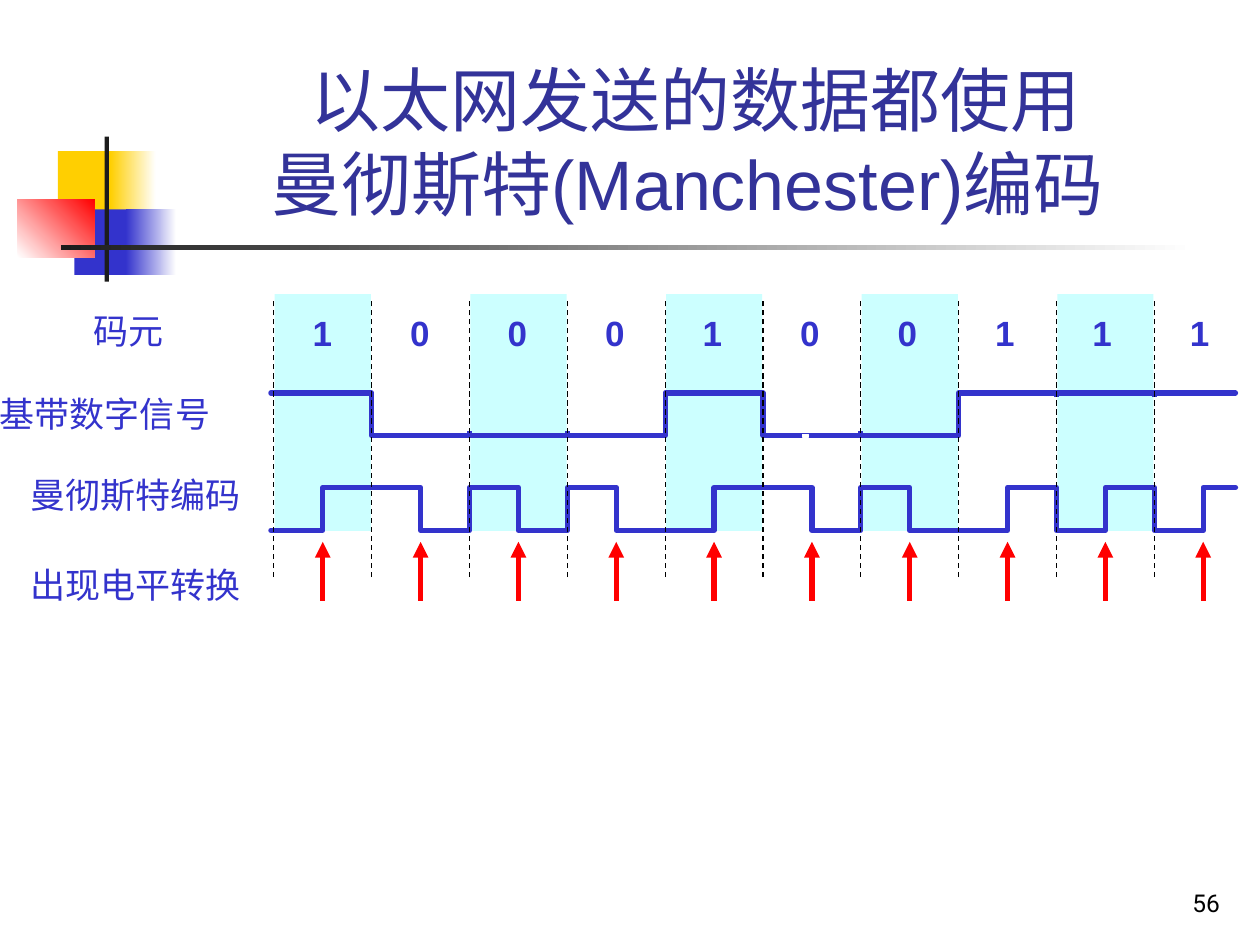
from lxml import etree
from pptx import Presentation
from pptx.dml.color import RGBColor
from pptx.enum.dml import MSO_LINE
from pptx.enum.shapes import MSO_CONNECTOR, MSO_SHAPE
from pptx.enum.text import MSO_ANCHOR, MSO_AUTO_SIZE, PP_ALIGN
from pptx.oxml.ns import qn
from pptx.util import Pt

RECT = MSO_SHAPE.RECTANGLE
STRAIGHT = MSO_CONNECTOR.STRAIGHT
DASH = MSO_LINE.DASH
TOP, BOTTOM = MSO_ANCHOR.TOP, MSO_ANCHOR.BOTTOM
LEFT, CENTER, RIGHT = PP_ALIGN.LEFT, PP_ALIGN.CENTER, PP_ALIGN.RIGHT
FIT, NO_FIT = MSO_AUTO_SIZE.SHAPE_TO_FIT_TEXT, MSO_AUTO_SIZE.NONE

COLORS = {
    "yellow": "FFCF01", "blue": "3333CC", "red": "FF0000", "white": "FFFFFF",
    "dark": "1C1C1C", "title": "333399", "band": "CCFFFF", "black": "000000",
}

BITS = "1000100111"
X0, STEP = 156.5, 55.9
WAVE_LEFT, WAVE_RIGHT = 154.8, 706
DIGIT_X0, DIGIT_STEP, DIGIT_W = 184.2, 55.7, 25.2
BASE_LEVELS = {"1": 224.6, "0": 249.1}
CODE_HIGH, CODE_LOW = 278.6, 303.1


class Slide:
    font = "Arial"
    size = 20
    color = "blue"

    def __init__(self, prs):
        self.s = prs.slides.add_slide(prs.slide_layouts[6])

    def rgb(self, name):
        return RGBColor.from_string(COLORS[name])

    def rect(self, x, y, w, h, fill, end=None, angle=0, line=None):
        sp = self.s.shapes.add_shape(RECT, Pt(x), Pt(y), Pt(w), Pt(h))
        sp.shadow.inherit = False
        if end:
            sp.fill.gradient()
            sp.fill.gradient_angle = angle
            for stop, name in zip(sp.fill.gradient_stops, (fill, end)):
                stop.color.rgb = self.rgb(name)
        else:
            sp.fill.solid()
            sp.fill.fore_color.rgb = self.rgb(fill)
        if line:
            self.stroke(sp, line, 0.75)
        else:
            sp.line.fill.background()

    def text(self, x, y, w, h, text, align=LEFT, anchor=TOP, wrap=False, **font):
        sp = self.s.shapes.add_textbox(Pt(x), Pt(y), Pt(w), Pt(h))
        tf = sp.text_frame
        frame = {"word_wrap": wrap, "vertical_anchor": anchor,
                 "auto_size": NO_FIT if wrap else FIT}
        for key, value in frame.items():
            setattr(tf, key, value)
        p = tf.paragraphs[0]
        p.text = text
        p.alignment = align
        style = {"name": self.font, "size": self.size, "bold": False} | font
        style["size"] = Pt(style["size"])
        color = style.pop("color", self.color)
        for r in p.runs:
            for key, value in style.items():
                setattr(r.font, key, value)
            r.font.color.rgb = self.rgb(color)

    def stroke(self, sp, color, width):
        sp.line.color.rgb = self.rgb(color)
        sp.line.width = Pt(width)

    def line(self, x1, y1, x2, y2, color, width, dash=None, arrow=False):
        c = self.s.shapes.add_connector(STRAIGHT, Pt(x1), Pt(y1), Pt(x2), Pt(y2))
        self.stroke(c, color, width)
        if dash:
            c.line.dash_style = dash
        if arrow:
            ln = c.line._get_or_add_ln()
            etree.SubElement(ln, qn("a:tailEnd"), type="triangle")
        etree.SubElement(c._element.spPr, qn("a:effectLst"))

    def wave(self, points, color, width):
        points = [(Pt(x), Pt(y)) for x, y in points]
        fb = self.s.shapes.build_freeform(*points[0])
        fb.add_line_segments(points[1:], close=False)
        sp = fb.convert_to_shape()
        sp.shadow.inherit = False
        sp.fill.background()
        self.stroke(sp, color, width)
        ln = sp.line._get_or_add_ln()
        ln.set("cap", "rnd")
        etree.SubElement(ln, qn("a:round"))


def step_points(levels, width):
    points = [(WAVE_LEFT, levels[0])]
    for i in range(1, len(levels)):
        if levels[i] != levels[i - 1]:
            x = X0 + i * width
            points += [(x, levels[i - 1]), (x, levels[i])]
    return points + [(WAVE_RIGHT, levels[-1])]


def draw_frame(s):
    s.rect(33.1, 86.4, 34.6, 37.4, "yellow")
    s.rect(63.1, 86.4, 25.9, 37.4, "yellow", "white")
    s.rect(42.5, 119.7, 33.1, 37.4, "blue")
    s.rect(72, 119.7, 28.8, 37.4, "blue", "white")
    s.rect(10.1, 113.8, 43.9, 33.1, "white", "red", 45)
    s.rect(59.8, 78.1, 2.4, 82.8, "dark")
    s.rect(34.8, 140.2, 648, 2.4, "dark", "white")
    s.text(554.4, 491.8, 149.8, 36, "56", RIGHT, BOTTOM, True,
           name="Roboto", size=14, color="black")
    s.text(90.7, 16.6, 613.4, 115.2,
           "以太网发送的数据都使用\v曼彻斯特(Manchester)编码 ",
           CENTER, BOTTOM, True, size=40, color="title")


def draw_signals(s):
    for x, y, w, label in (
        (46.1, 173.5, 54.4, "码元"),
        (-7.2, 221, 134.4, "基带数字信号"),
        (10.1, 267.1, 134.4, "曼彻斯特编码"),
        (10.1, 318.2, 134.4, "出现电平转换"),
    ):
        s.text(x, y, w, 31, label)

    for i in range(0, len(BITS), 2):
        s.rect(X0 + i * STEP + 0.5, 168, 55, 135.4, "band")
    for i, bit in enumerate(BITS):
        s.text(DIGIT_X0 + i * DIGIT_STEP - DIGIT_W / 2, 174.2, DIGIT_W, 31,
               bit, CENTER, bold=True)

    s.wave(step_points([BASE_LEVELS[b] for b in BITS], STEP), "blue", 3)
    for i in range(1, len(BITS)):
        if BITS[i] == BITS[i - 1]:
            x = X0 + i * STEP
            y = 224 if BITS[i] == "1" else 246.2
            s.line(x, y + 2.9, x, y, "blue", 3)

    halves = {"1": (CODE_LOW, CODE_HIGH), "0": (CODE_HIGH, CODE_LOW)}
    levels = [level for b in BITS for level in halves[b]]
    s.wave(step_points(levels, STEP / 2), "blue", 3)
    s.rect(458.6, 248.4, 3.6, 1.4, "white", line="white")

    for i in range(len(BITS)):
        x = X0 + i * STEP
        s.line(x, 329.8, x, 171.4, "black", 0.75, dash=DASH)
    for i in range(len(BITS)):
        x = X0 + (i + 0.5) * STEP
        s.line(x, 343.4, x, 309.6, "red", 3, arrow=True)


def main():
    prs = Presentation()
    prs.slide_width, prs.slide_height = Pt(720), Pt(540)
    s = Slide(prs)
    draw_frame(s)
    draw_signals(s)
    prs.save("out.pptx")


if __name__ == "__main__":
    main()
